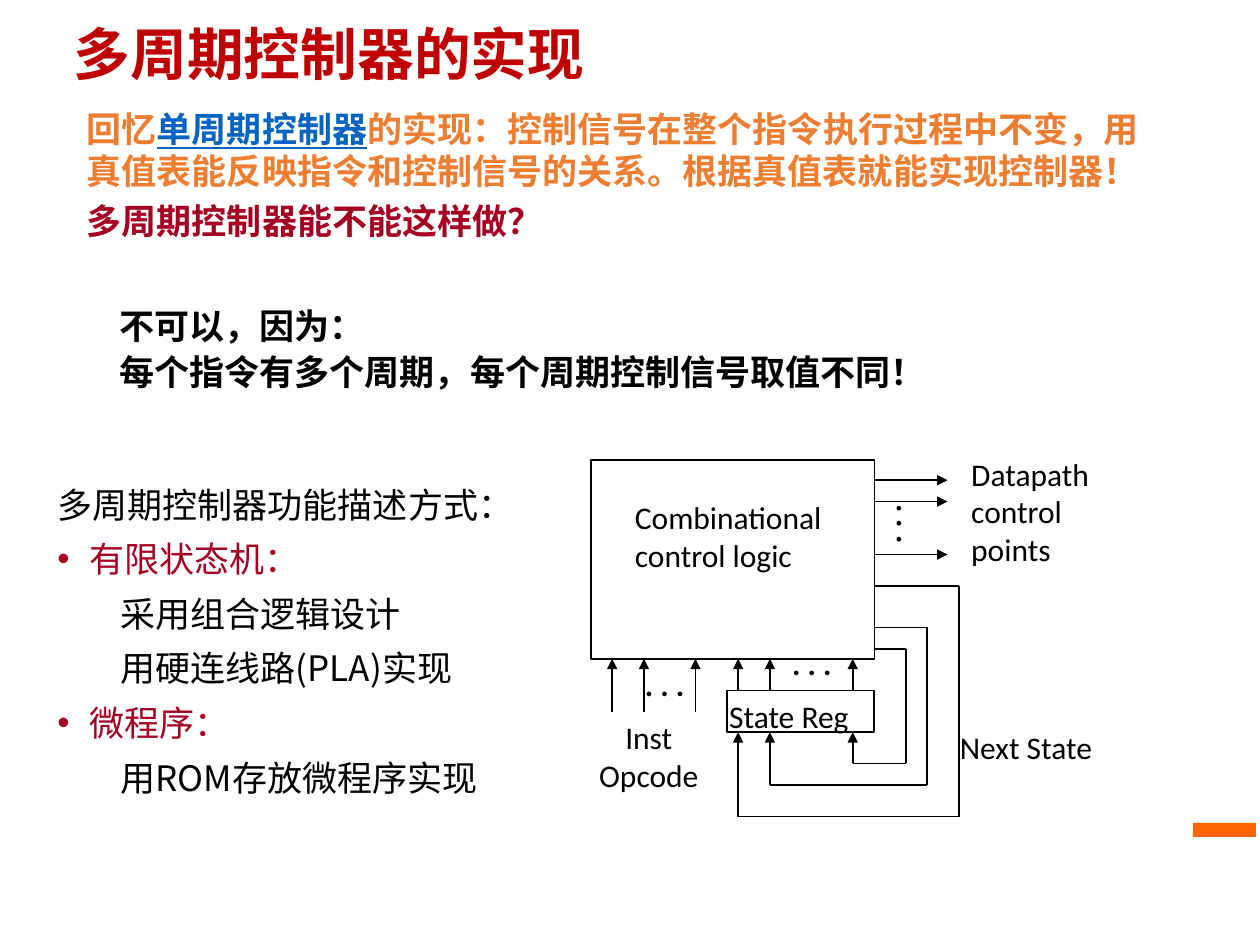
from lxml import etree
from pptx import Presentation
from pptx.dml.color import RGBColor
from pptx.enum.shapes import MSO_CONNECTOR, MSO_SHAPE
from pptx.enum.text import MSO_ANCHOR, PP_ALIGN
from pptx.oxml.ns import qn
from pptx.util import Cm, Pt

STRAIGHT = MSO_CONNECTOR.STRAIGHT
RECTANGLE = MSO_SHAPE.RECTANGLE
MIDDLE = MSO_ANCHOR.MIDDLE
LEFT = PP_ALIGN.LEFT
CENTER = PP_ALIGN.CENTER

CHINESE_FONT = "Noto Sans CJK SC"
SERIF_FONT = "Times New Roman"
LABEL_FONT = "Calibri"
BLACK = "000000"
CRIMSON = "A50021"
ORANGE = "ED7D31"
LINK_BLUE = "0563C1"


def color(value):
    return RGBColor.from_string(value)


def format_run(run, size, font_name, text_color, bold=False):
    run.font.size = Pt(size)
    run.font.name = font_name
    run.font.bold = bold
    run.font.color.rgb = color(text_color)
    east_asian = etree.SubElement(run._r.get_or_add_rPr(), qn("a:ea"))
    east_asian.set("typeface", CHINESE_FONT)


def add_text_frame(slide, left, top, width, height):
    shape = slide.shapes.add_textbox(Cm(left), Cm(top), Cm(width), Cm(height))
    shape.text_frame.word_wrap = True
    return shape.text_frame


def add_paragraphs(text_frame, count):
    for _ in range(count - 1):
        text_frame.add_paragraph()
    return text_frame.paragraphs


def add_rectangle(slide, left, top, width, height, fill=None, line=None):
    shape = slide.shapes.add_shape(RECTANGLE, Cm(left), Cm(top), Cm(width), Cm(height))
    shape.shadow.inherit = False
    if fill:
        shape.fill.solid()
        shape.fill.fore_color.rgb = color(fill)
    else:
        shape.fill.background()
    if line:
        shape.line.color.rgb = color(line)
        shape.line.width = Pt(1)
    else:
        shape.line.fill.background()


def add_title(slide, left, top, width, height):
    text_frame = add_text_frame(slide, left, top, width, height)
    text_frame.vertical_anchor = MIDDLE
    text_frame.text = "多周期控制器的实现"
    paragraph = text_frame.paragraphs[0]
    paragraph.line_spacing = 0.9
    format_run(paragraph.runs[0], 32.4, CHINESE_FONT, "C00000", True)


def add_statement(slide, left, top, width, height, space_before, lines):
    text_frame = add_text_frame(slide, left, top, width, height)
    paragraphs = add_paragraphs(text_frame, len(lines))
    for index, (paragraph, parts) in enumerate(zip(paragraphs, lines)):
        paragraph.line_spacing = Pt(24)
        if index:
            paragraph.space_before = Pt(space_before)
        for text, text_color in parts:
            run = paragraph.add_run()
            run.text = text
            format_run(run, 20, SERIF_FONT, text_color, True)
            if text_color == LINK_BLUE:
                run.font.underline = True


def add_methods(slide, left, top, width, height):
    items = [
        ("多周期控制器功能描述方式：", 0, False),
        ("有限状态机：", 0, True),
        ("采用组合逻辑设计", 1, False),
        ("用硬连线路(PLA)实现", 1, False),
        ("微程序：", 0, True),
        ("用ROM存放微程序实现", 1, False),
    ]
    text_frame = add_text_frame(slide, left, top, width, height)
    paragraphs = add_paragraphs(text_frame, len(items))
    for paragraph, (text, level, bulleted) in zip(paragraphs, items):
        paragraph.text = text
        paragraph.level = level
        properties = paragraph._p.get_or_add_pPr()
        properties.set("marL", str(Cm(0.64 + 1.27 * level)))
        properties.set("indent", str(Cm(-0.64)))
        if bulleted:
            bullet_font = etree.SubElement(properties, qn("a:buFont"))
            bullet_font.set("typeface", "Arial")
            bullet = etree.SubElement(properties, qn("a:buChar"))
            bullet.set("char", "•")
        else:
            etree.SubElement(properties, qn("a:buNone"))
        paragraph.line_spacing = Pt(31.2)
        text_color = CRIMSON if bulleted else BLACK
        format_run(paragraph.runs[0], 20, CHINESE_FONT, text_color)


def add_line(slide, start, end, arrow=False):
    connector = slide.shapes.add_connector(
        STRAIGHT, Cm(start[0]), Cm(start[1]), Cm(end[0]), Cm(end[1])
    )
    connector.line.color.rgb = color(BLACK)
    connector.line.width = Pt(1)
    if arrow:
        tail = etree.SubElement(connector.line._get_or_add_ln(), qn("a:tailEnd"))
        tail.set("type", "triangle")
    etree.SubElement(connector._element.spPr, qn("a:effectLst"))


def add_label(slide, left, top, width, height, text, alignment=LEFT, bold=False, rotation=0):
    shape = slide.shapes.add_textbox(Cm(left), Cm(top), Cm(width), Cm(height))
    shape.rotation = rotation
    shape.text_frame.word_wrap = True
    shape.text_frame.text = text
    for paragraph in shape.text_frame.paragraphs:
        paragraph.alignment = alignment
        format_run(paragraph.runs[0], 18, LABEL_FONT, BLACK, bold)


def add_controller_diagram(slide, left, top, width, height):
    register_top, register_bottom = 4.65, 5.49

    def point(x, y):
        return left + x, top + y

    add_rectangle(slide, left, top, width, height, line=BLACK)
    add_rectangle(
        slide, *point(2.74, register_top), 2.97, register_bottom - register_top, line=BLACK
    )

    for x in (0.43, 1.07, 2.11):
        add_line(slide, point(x, 5.08), point(x, height), arrow=True)
    for y in (0.41, 0.84, 1.91):
        add_line(slide, point(width, y), point(7.19, y), arrow=True)

    feedback_loops = [
        (2.97, 7.42, 2.54, 7.19),
        (3.61, 6.78, 3.38, 6.55),
        (5.28, 6.35, 3.81, 6.12),
    ]
    for x, right, upper, lower in feedback_loops:
        add_line(slide, point(x, register_top), point(x, height), arrow=True)
        add_line(slide, point(width, upper), point(right, upper))
        add_line(slide, point(right, upper), point(right, lower))
        add_line(slide, point(x, lower), point(right, lower))
        add_line(slide, point(x, lower), point(x, register_bottom), arrow=True)

    add_label(slide, *point(0.64, 0.64), 4.57, 1.78, "Combinational\ncontrol logic")
    add_label(slide, *point(2.54, register_top), 3.33, 1.02, "State Reg")
    add_label(slide, *point(-0.2, 5.08), 2.74, 1.78, "Inst\nOpcode", CENTER)
    add_label(slide, *point(7.42, -0.23), 3.1, 2.54, "Datapath\ncontrol\npoints")
    add_label(slide, *point(7.19, 5.28), 3.48, 1.02, "Next State")
    for x, y, rotation in ((0.84, 4.01, 0), (3.81, 3.58, 0), (5.72, 0.84, 90)):
        add_label(slide, *point(x, y), 1.4, 1.02, ". . .", bold=True, rotation=rotation)


def main():
    presentation = Presentation()
    presentation.slide_width = Cm(25.4)
    presentation.slide_height = Cm(19.05)
    slide = presentation.slides.add_slide(presentation.slide_layouts[6])

    recall = [
        [
            ("回忆", ORANGE),
            ("单周期控制器", LINK_BLUE),
            (
                "的实现：控制信号在整个指令执行过程中不变，用真值表能反映"
                "指令和控制信号的关系。根据真值表就能实现控制器！",
                ORANGE,
            ),
        ],
        [("多周期控制器能不能这样做？", CRIMSON)],
    ]
    answer = [
        [("不可以，因为：", BLACK)],
        [("每个指令有多个周期，每个周期控制信号取值不同！", BLACK)],
    ]
    add_rectangle(slide, 24.05, 16.59, 1.27, 0.28, fill="FF6600")
    add_title(slide, 1.24, 0.56, 16.92, 1.17)
    add_methods(slide, 0.91, 9.36, 11.68, 6.76)
    add_statement(slide, 1.5, 2.05, 22.23, 2.97, 4.5, recall)
    add_statement(slide, 2.16, 6.02, 17.04, 2.06, 2, answer)
    add_controller_diagram(slide, 11.91, 9.27, 5.72, 4.01)
    presentation.save("out.pptx")


if __name__ == "__main__":
    main()
